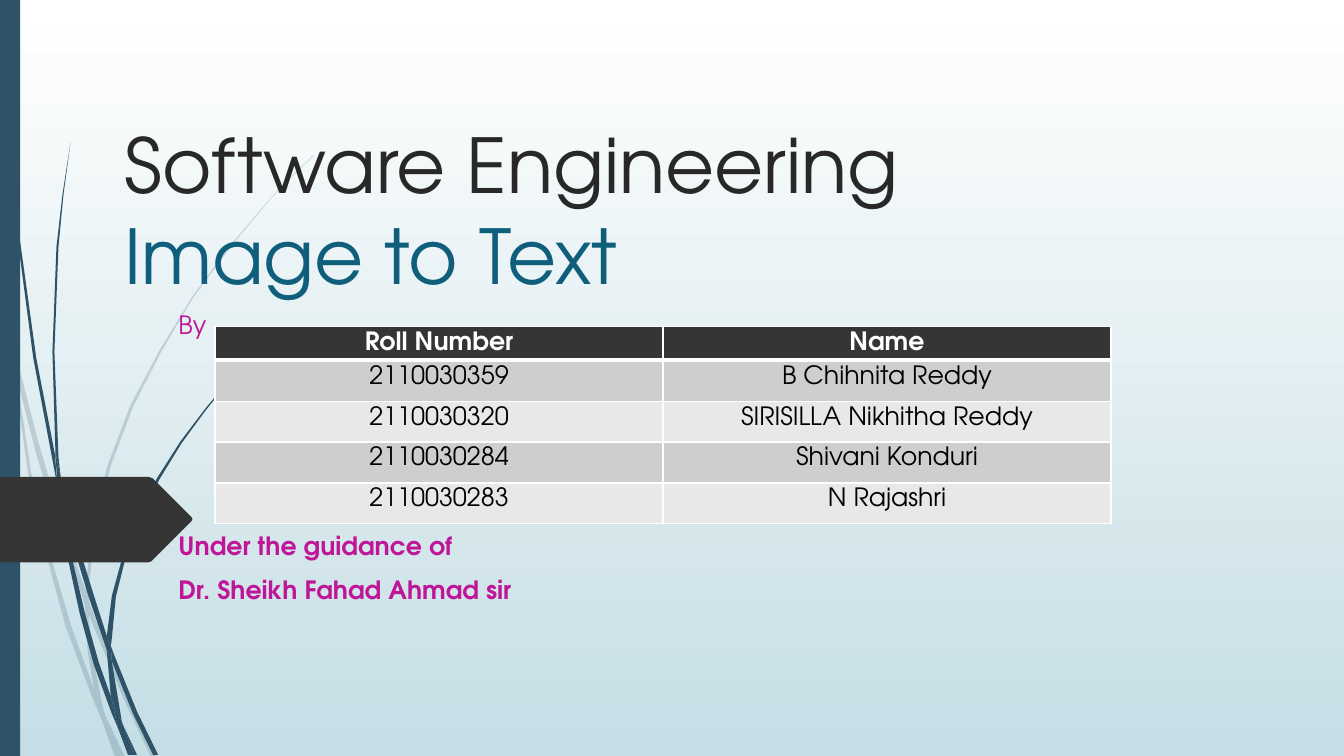
from lxml.etree import SubElement
from pptx import Presentation
from pptx.dml.color import RGBColor
from pptx.enum.shapes import MSO_SHAPE as Shape
from pptx.enum.text import MSO_ANCHOR as Anchor, MSO_AUTO_SIZE as AutoSize, PP_ALIGN as Align
from pptx.oxml.ns import qn
from pptx.util import Cm, Pt

FONT = "TeX Gyre Adventor"
CM_PER_UNIT = 2.54
WHITE = RGBColor(0xFF, 0xFF, 0xFF)
BLACK = RGBColor(0, 0, 0)
PALE_TEAL = RGBColor(0xC5, 0xDE, 0xE5)
SLATE = RGBColor(0x2E, 0x53, 0x69)
CHARCOAL = RGBColor(0x35, 0x35, 0x35)
INK = RGBColor(0x28, 0x28, 0x28)
TEAL = RGBColor(0x0F, 0x5E, 0x7C)
MAGENTA = RGBColor(0xBF, 0x16, 0x98)
BANDS = (RGBColor(0xE8, 0xE8, 0xE8), RGBColor(0xCE, 0xCE, 0xCE))

FAINT_WISPS = [
    [(0.11, 3.5), (0.09, 3.22), (0, 2.82), (0, 2.99), (0.1, 3.44)],
    [(0.58, 5.22), (0.84, 5.99), (0.85, 5.86), (0.62, 5.2), (0.37, 4.35), (0.14, 3.45),
     (0.17, 3.76), (0.36, 4.51)],
    [(0.92, 6.07), (0.88, 5.96), (0.88, 6.1), (1.23, 6.94), (1.5, 7.51), (1.55, 7.51),
     (1.27, 6.92)],
    [(1.19, 7.51), (1.24, 7.51), (1.05, 7.11)],
    [(0.93, 6.83), (0.7, 6.19), (0.49, 5.47), (0.31, 4.69), (0.17, 3.76), (0.11, 3.5),
     (0.28, 4.7), (0.45, 5.47), (0.65, 6.21), (0.92, 6.93), (1.01, 7.14), (0.99, 7.07)],
    [(0.84, 5.99), (0.87, 6.46), (0.93, 6.83), (0.96, 6.92), (1.05, 7.11), (1.03, 7.06),
     (0.91, 6.46), (0.88, 6.1), (0.88, 6.08)],
    [(0.88, 5.84), (0.95, 5.22), (1.1, 4.62), (1.32, 4.04), (1.6, 3.49), (1.92, 2.95),
     (2.29, 2.45), (2.68, 1.98), (2.9, 1.75), (3.12, 1.54), (3.12, 1.53), (2.89, 1.75),
     (2.68, 1.97), (2.28, 2.44), (1.91, 2.94), (1.58, 3.48), (1.29, 4.03), (1.07, 4.61),
     (0.91, 5.22), (0.85, 5.84), (0.85, 5.86), (0.88, 5.96)],
    [(1.01, 7.14), (1.14, 7.51), (1.19, 7.51)],
    [(0.88, 6.08), (0.88, 6.1), (0.88, 5.96), (0.85, 5.86), (0.84, 5.99)],
    [(0.96, 6.92), (0.93, 6.83), (0.99, 7.07), (1.01, 7.14), (1.19, 7.51), (1.05, 7.11)],
]
DARK_WISPS = [
    [(0.07, 1.1), (0.17, 2.33), (0.33, 3.55), (0.56, 4.77), (0.57, 4.81), (0.55, 4.57),
     (0.55, 4.53), (0.36, 3.55), (0.19, 2.32), (0.08, 1.09), (0.05, 0.48), (0.04, 0),
     (0.03, 0), (0.04, 0.48)],
    [(0.88, 5.92), (1.06, 6.45), (1.06, 6.33), (1.06, 6.31), (0.93, 5.9), (0.75, 5.32),
     (0.6, 4.72), (0.64, 5.05), (0.75, 5.49)],
    [(1.13, 6.49), (1.1, 6.41), (1.11, 6.56), (1.32, 7.08), (1.52, 7.49), (1.57, 7.49),
     (1.36, 7.06)],
    [(1.1, 6.91), (0.98, 6.57), (0.84, 6.07), (0.72, 5.56), (0.64, 5.05), (0.57, 4.77),
     (0.68, 5.57), (0.79, 6.08), (0.93, 6.59), (1.11, 7.08), (1.17, 7.22), (1.16, 7.17)],
    [(0.6, 4.72), (0.58, 4.53), (0.54, 3.49), (0.58, 2.45), (0.63, 1.93), (0.7, 1.41),
     (0.62, 1.93), (0.56, 2.45), (0.52, 3.49), (0.55, 4.49)],
    [(1.33, 7.49), (1.36, 7.49), (1.22, 7.19)],
    [(0.57, 4.77), (0.64, 5.05), (0.6, 4.72), (0.55, 4.49), (0.55, 4.53)],
    [(1.11, 6.33), (1.15, 5.92), (1.25, 5.52), (1.39, 5.13), (1.58, 4.76), (1.8, 4.4),
     (2.05, 4.06), (2.31, 3.74), (2.45, 3.59), (2.61, 3.44), (2.6, 3.44), (2.45, 3.58),
     (2.31, 3.73), (2.04, 4.05), (1.79, 4.38), (1.56, 4.74), (1.37, 5.12), (1.22, 5.51),
     (1.11, 5.91), (1.06, 6.31), (1.1, 6.41)],
    [(1.17, 7.22), (1.27, 7.49), (1.31, 7.49)],
    [(1.06, 6.45), (1.1, 6.91), (1.16, 7.06), (1.22, 7.19), (1.21, 7.16), (1.11, 6.56),
     (1.09, 6.51)],
    [(1.06, 6.45), (1.09, 6.51), (1.11, 6.56), (1.1, 6.41), (1.06, 6.31), (1.06, 6.33)],
    [(1.16, 7.06), (1.1, 6.91), (1.16, 7.17), (1.17, 7.22), (1.3, 7.49), (1.33, 7.49),
     (1.22, 7.19)],
]
TAG = [(1.47, 5.58), (1.5, 5.57), (1.51, 5.56), (1.9, 5.17), (1.91, 5.15), (1.9, 5.13),
       (1.51, 4.74), (1.5, 4.74), (1.47, 4.73), (0, 4.73), (0, 5.58)]
STUDENTS = [
    ("Roll Number", "Name"),
    ("2110030359", "B Chihnita Reddy"),
    ("2110030320", "SIRISILLA Nikhitha Reddy"),
    ("2110030284", "Shivani Konduri"),
    ("2110030283", "N Rajashri"),
]


def paint(shape, color):
    shape.shadow.inherit = False
    shape.fill.solid()
    shape.fill.fore_color.rgb = color
    shape.line.fill.background()


def format_runs(paragraph, size, color, bold=False):
    for run in paragraph.runs:
        run.font.name = FONT
        run.font.size = Pt(size)
        run.font.bold = bold
        run.font.color.rgb = color


def add_outline(slide, points, color, opacity=100):
    corners = [(Cm(x * CM_PER_UNIT), Cm(y * CM_PER_UNIT)) for x, y in points]
    builder = slide.shapes.build_freeform(*corners[0])
    builder.add_line_segments(corners[1:])
    outline = builder.convert_to_shape()
    paint(outline, color)
    if opacity < 100:
        fill_color = outline._element.spPr.find(".//" + qn("a:srgbClr"))
        SubElement(fill_color, qn("a:alpha"), val=str(opacity * 1000))


def add_side_bar(slide):
    bar = slide.shapes.add_shape(Shape.RECTANGLE, 0, 0, Cm(0.51), Cm(19.05))
    paint(bar, SLATE)


def add_background(slide):
    fill = slide.background.fill
    fill.gradient()
    fill.gradient_angle = 270
    for stop, color in zip(fill.gradient_stops, (WHITE, PALE_TEAL)):
        stop.color.rgb = color


def fill_placeholder(slide, placeholder, box, text, anchor):
    placeholder.left, placeholder.top, placeholder.width, placeholder.height = map(Cm, box)
    frame = placeholder.text_frame
    frame.text = text
    frame.vertical_anchor = anchor
    frame.auto_size = AutoSize.NONE
    for paragraph in frame.paragraphs:
        paragraph.alignment = Align.LEFT
    slide.shapes._spTree.append(placeholder._element)
    return frame.paragraphs


def fill_title(slide):
    box = (2.88, 1.6, 26.95, 6.07)
    text = "Software Engineering\vImage to Text"
    paragraph = fill_placeholder(slide, slide.shapes.title, box, text, Anchor.BOTTOM)[0]
    format_runs(paragraph, 54, INK)
    paragraph.runs[1].font.color.rgb = TEAL


def fill_subtitle(slide):
    box = (4.24, 7.67, 25.4, 11.38)
    text = "By\nUnder the guidance of\nDr. Sheikh Fahad Ahmad sir"
    paragraphs = fill_placeholder(slide, slide.placeholders[1], box, text, Anchor.TOP)
    for paragraph, gap, bold in zip(paragraphs, (10, 136, 10), (False, True, True)):
        paragraph.space_before = Pt(gap)
        format_runs(paragraph, 18, MAGENTA, bold)


def add_cell_border(cell, side, width):
    line = SubElement(cell._tc.get_or_add_tcPr(), qn(f"a:ln{side}"), w=str(Pt(width)))
    SubElement(SubElement(line, qn("a:solidFill")), qn("a:srgbClr"), val=str(WHITE))


def format_cell(cell, text, is_header, band):
    cell.text = text
    cell.margin_top = Cm(0.13)
    cell.margin_bottom = 0
    paragraph = cell.text_frame.paragraphs[0]
    paragraph.alignment = Align.CENTER
    format_runs(paragraph, 18, WHITE if is_header else BLACK, is_header)
    for side in "LRTB":
        add_cell_border(cell, side, 3 if is_header and side == "B" else 1)
    cell.fill.solid()
    cell.fill.fore_color.rgb = CHARCOAL if is_header else band


def add_student_table(slide):
    frame = slide.shapes.add_table(
        len(STUDENTS), 2, Cm(5.42), Cm(8.23), Cm(22.58), Cm(4.97))
    table = frame.table
    for index, student in enumerate(STUDENTS):
        table.rows[index].height = Cm(1.03 if index else 0.85)
        for column, text in enumerate(student):
            format_cell(table.cell(index, column), text, index == 0, BANDS[index % 2])


def main():
    presentation = Presentation()
    presentation.slide_width = Cm(33.87)
    presentation.slide_height = Cm(19.05)
    slide = presentation.slides.add_slide(presentation.slide_layouts[0])
    add_background(slide)
    for points in FAINT_WISPS:
        add_outline(slide, points, SLATE, 20)
    for points in DARK_WISPS:
        add_outline(slide, points, SLATE)
    add_side_bar(slide)
    add_outline(slide, TAG, CHARCOAL)
    fill_title(slide)
    fill_subtitle(slide)
    add_student_table(slide)
    presentation.save("out.pptx")


if __name__ == "__main__":
    main()
